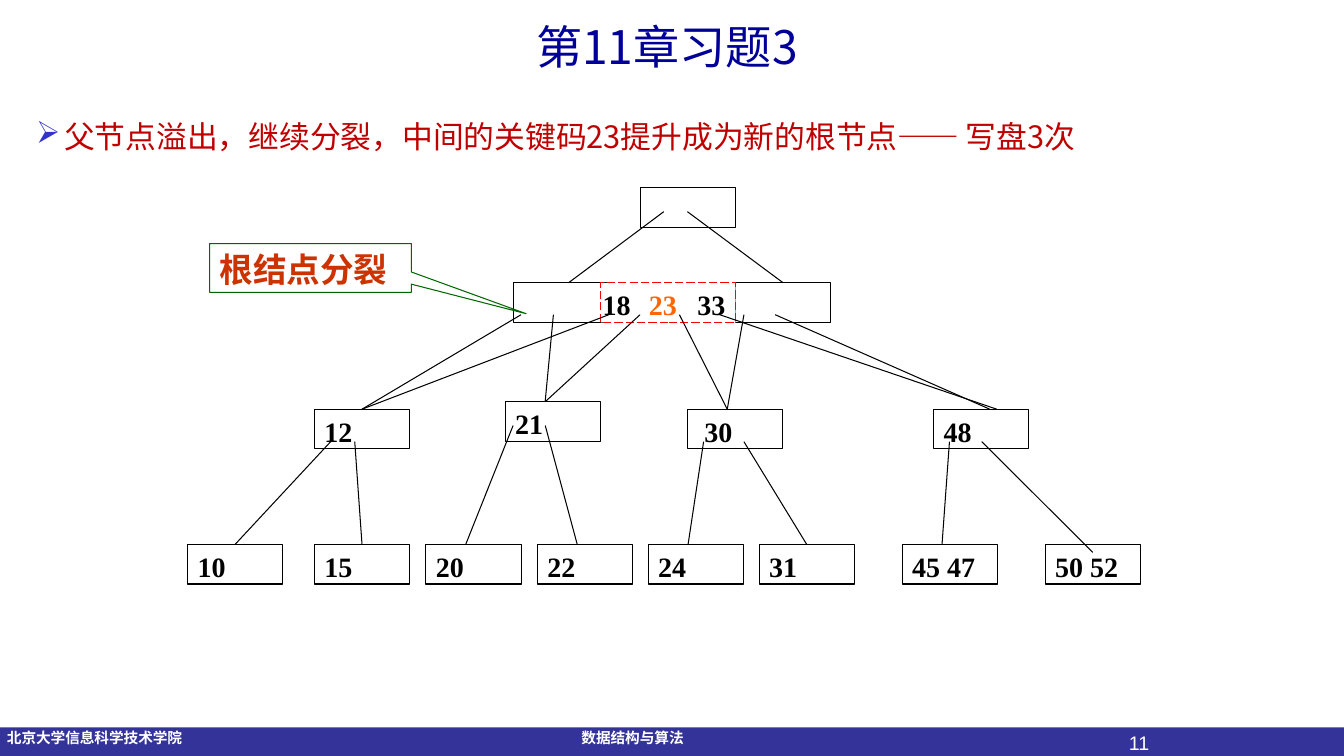
from dataclasses import dataclass
from lxml import etree
from pptx import Presentation
from pptx.dml.color import RGBColor
from pptx.enum.dml import MSO_LINE
from pptx.enum.shapes import MSO_CONNECTOR, MSO_SHAPE
from pptx.enum.text import MSO_ANCHOR, PP_ALIGN
from pptx.oxml.ns import qn
from pptx.util import Pt

RECT, CALLOUT = MSO_SHAPE.RECTANGLE, MSO_SHAPE.RECTANGULAR_CALLOUT
STRAIGHT, DASH = MSO_CONNECTOR.STRAIGHT, MSO_LINE.LONG_DASH
LEFT, CENTER, RIGHT = PP_ALIGN.LEFT, PP_ALIGN.CENTER, PP_ALIGN.RIGHT
TOP, MIDDLE = MSO_ANCHOR.TOP, MSO_ANCHOR.MIDDLE
TOP_SITE = 0
NODE_W, NODE_H = 68, 28.4


@dataclass(frozen=True)
class Theme:
    cjk: str = "Noto Sans CJK SC"
    serif: str = "Times New Roman"
    sans: str = "Arial"
    white: str = "FFFFFF"
    black: str = "000000"
    band: str = "333399"
    title: str = "000099"
    body: str = "C00000"
    bullet: str = "3333CC"
    split: str = "FF0000"
    promoted: str = "FF6600"
    note: str = "CC3300"
    note_line: str = "006600"
    title_size: float = 33
    body_size: float = 22
    note_size: float = 24
    key_size: float = 20
    footer_size: float = 10.5
    number_size: float = 14
    line_width: float = 0.75


class SlideBuilder:
    def __init__(self, slide, theme):
        self.s, self.t = slide, theme

    def put_text(self, sp, text, size, color, font, bold=False, align=LEFT,
                 anchor=TOP, wrap=True, insets=(7.2, 3.6, 7.2, 3.6)):
        tf = sp.text_frame
        tf.word_wrap, tf.vertical_anchor = wrap, anchor
        (tf.margin_left, tf.margin_top,
         tf.margin_right, tf.margin_bottom) = map(Pt, insets)
        p = tf.paragraphs[0]
        p.alignment = align
        r = p.add_run()
        r.text = text
        r.font.size, r.font.bold, r.font.name = Pt(size), bold, font
        r.font.color.rgb = RGBColor.from_string(color)
        ea = etree.SubElement(r._r.get_or_add_rPr(), qn("a:ea"))
        ea.set("typeface", self.t.cjk)
        return p

    def text(self, box, text, size, color, font, **style):
        sp = self.s.shapes.add_textbox(*map(Pt, box))
        return self.put_text(sp, text, size, color, font, **style)

    def shape(self, kind, box, fill=None, line=None, dash=None):
        sp = self.s.shapes.add_shape(kind, *map(Pt, box))
        sp.shadow.inherit = False
        if fill:
            sp.fill.solid()
            sp.fill.fore_color.rgb = RGBColor.from_string(fill)
        else:
            sp.fill.background()
        if line:
            sp.line.color.rgb = RGBColor.from_string(line)
            sp.line.width = Pt(self.t.line_width)
            if dash:
                sp.line.dash_style = dash
        else:
            sp.line.fill.background()
        return sp

    def node(self, x, y, keys=""):
        sp = self.shape(RECT, (x, y, NODE_W, NODE_H), self.t.white, self.t.black)
        if keys:
            self.put_text(sp, keys, self.t.key_size, self.t.black, self.t.serif, bold=True)
        return sp

    def edge(self, x, y, child, dx=0, dy=0):
        """Draw a pointer to a child, offset from the middle of its top side."""
        end_x = child.left + child.width // 2 + Pt(dx)
        c = self.s.shapes.add_connector(STRAIGHT, Pt(x), Pt(y), end_x, child.top + Pt(dy))
        if dx == dy == 0:
            c.end_connect(child, TOP_SITE)
        c.line.color.rgb = RGBColor.from_string(self.t.black)
        c.line.width = Pt(self.t.line_width)
        etree.SubElement(c._element.spPr, qn("a:effectLst"))

    def bullet(self, p, char, color, indent):
        pPr = p._p.get_or_add_pPr()
        pPr.set("marL", str(Pt(indent)))
        pPr.set("indent", str(-Pt(indent)))
        clr = etree.SubElement(pPr, qn("a:buClr"))
        etree.SubElement(clr, qn("a:srgbClr")).set("val", color)
        etree.SubElement(pPr, qn("a:buChar")).set("char", char)


def main():
    prs = Presentation()
    prs.slide_width, prs.slide_height = Pt(960), Pt(540)
    t = Theme()
    b = SlideBuilder(prs.slides.add_slide(prs.slide_layouts[6]), t)

    # Footer band
    b.shape(RECT, (0, 519.6, 960, 20.4), t.band)
    for x, w, label in ((5, 134.6, "北京大学信息科学技术学院"), (415.4, 81.4, "数据结构与算法")):
        b.text((x, 517, w, 20), label, t.footer_size, t.white, t.sans,
               bold=True, wrap=False, insets=(0, 3.6, 7.2, 3.6))
    b.text((720, 518.4, 108, 18), "11", t.number_size, t.white, t.sans, align=RIGHT)

    # Title and statement
    b.text((0, 0, 960, 65.5), "第11章习题3", t.title_size, t.title, t.cjk,
           align=CENTER, anchor=MIDDLE, insets=(14.4, 3.6, 21.6, 3.6))
    p = b.text((18.7, 71.3, 922.3, 57.6),
               "父节点溢出，继续分裂，中间的关键码23提升成为新的根节点—— 写盘3次",
               t.body_size, t.body, t.cjk)
    p.line_spacing, p.space_before = 1.35, Pt(4.4)
    b.bullet(p, "➢", t.bullet, 20)

    # New root and the two halves of the split node
    split_y = 202
    b.node(457.4, 134)
    right_half = b.node(525.4, split_y)
    left_half = b.node(366.6, split_y)
    b.shape(RECT, (429, split_y, 96.4, NODE_H), t.white, t.split, DASH)

    # Callout on the split
    note = b.shape(CALLOUT, (149.8, 174, 144, 34.8), line=t.note_line)
    note.adjustments[0], note.adjustments[1] = 1.07, 0.94
    b.put_text(note, "根结点分裂", t.note_size, t.note, t.serif, bold=True)

    # Inner nodes and leaves
    inner = {keys.strip(): b.node(x, y, keys) for keys, x, y in (
        ("12", 224.6, 292.3), ("21", 360.9, 287),
        (" 30", 491, 292.3), ("48", 667, 292.3))}
    leaves = {keys: b.node(x, 388.8, keys) for keys, x in (
        ("10", 134), ("15", 224.6), ("20", 304.2), ("22", 383.8),
        ("24", 463), ("31", 542.2), ("45 47", 644.4), ("50 52", 746.6))}

    # Pointers from the new root
    b.edge(474.2, 151.2, left_half, 5.5)
    b.edge(491, 151.2, right_half)

    # Pointers from the split row
    for x, keys, dx in (
            (434.9, "12", 0), (372.2, "12", 0), (457.2, "21", -5.5), (395.3, "21", -5.5),
            (485.3, "30", -5.5), (531.4, "30", -5.5), (514.1, "48", 11), (553.7, "48", 6)):
        b.edge(x, 224.8, inner[keys], dx)

    # Pointers to the leaves
    for x, y, keys, dx, dy in (
            (236.2, 315.5, "10", 0, 0), (253.4, 315.5, "15", 0, 0),
            (366.5, 304, "20", -5.5, 0), (389.5, 304, "22", -5.5, 0),
            (502.6, 315.5, "24", -5.5, 0), (531.4, 315.5, "31", 0, 0),
            (678.2, 315.5, "45 47", -5.5, 0), (701.3, 315.5, "50 52", 0, 5.8)):
        b.edge(x, y, leaves[keys], dx, dy)

    # Keys across the split
    for x, w, key, color in ((423.4, 39.6, "18", t.black), (451.4, 45.4, " 23 ", t.promoted),
                             (491, 39.6, "33", t.black)):
        b.text((x, split_y, w, 31), key, t.key_size, color, t.serif, bold=True)

    prs.save("out.pptx")


if __name__ == "__main__":
    main()
